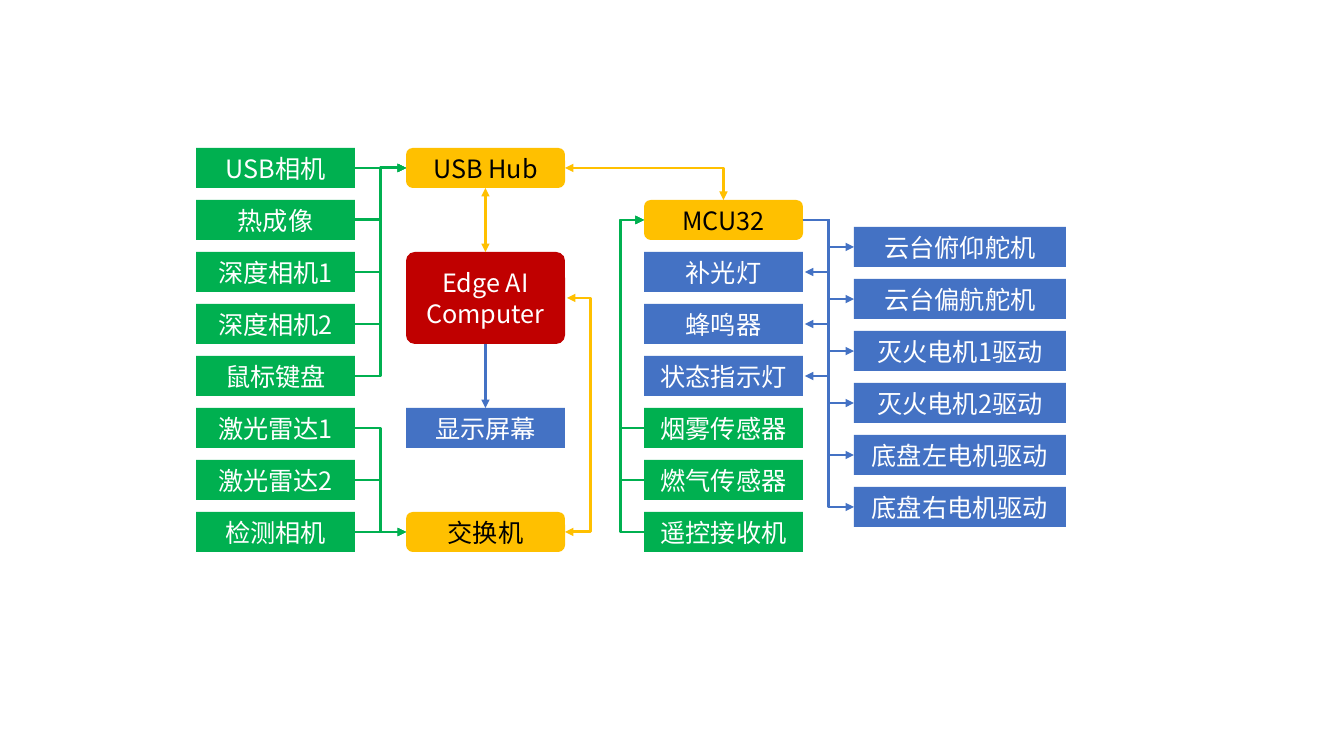
from lxml import etree
from pptx import Presentation
from pptx.dml.color import RGBColor
from pptx.enum.shapes import MSO_CONNECTOR, MSO_SHAPE
from pptx.enum.text import MSO_ANCHOR, PP_ALIGN
from pptx.oxml.ns import qn
from pptx.util import Emu, Pt

RECTANGLE, ROUNDED = MSO_SHAPE.RECTANGLE, MSO_SHAPE.ROUNDED_RECTANGLE
STRAIGHT, ELBOW = MSO_CONNECTOR.STRAIGHT, MSO_CONNECTOR.ELBOW
CENTER, MIDDLE = PP_ALIGN.CENTER, MSO_ANCHOR.MIDDLE
TOP, LEFT, BOTTOM, RIGHT = range(4)

COLORS = {"input": "00B050", "output": "4472C4", "bus": "FFC000",
          "main": "C00000", "light": "FFFFFF", "dark": "000000"}
FONT = "Noto Sans CJK SC"
NODE_WIDTH, NODE_HEIGHT, ROW_PITCH = 159, 40, 52
LOOP_OUT, LOOP_WIDTH = 26, 2


def px(value):
    return Emu(round(value * 12192000 / 1344))


def rgb(name):
    return RGBColor.from_string(COLORS[name])


def add_node(slide, text, role, x, y, width=NODE_WIDTH, height=NODE_HEIGHT):
    kind = ROUNDED if role in ("bus", "main") else RECTANGLE
    shape = slide.shapes.add_shape(kind, px(x), px(y), px(width), px(height))
    shape.shadow.inherit = False
    shape.fill.solid()
    shape.fill.fore_color.rgb = rgb(role)
    shape.line.fill.background()
    frame = shape.text_frame
    frame.word_wrap = True
    frame.vertical_anchor = MIDDLE
    frame.margin_top = frame.margin_bottom = 0
    for index, line in enumerate(text.split("\n")):
        paragraph = frame.add_paragraph() if index else frame.paragraphs[0]
        paragraph.alignment = CENTER
        run = paragraph.add_run()
        run.text = line
        run.font.size = Pt(18)
        run.font.name = FONT
        run.font.color.rgb = rgb("dark" if role == "bus" else "light")
        etree.SubElement(run.font._element, qn("a:ea"), typeface=FONT)
    return shape


def add_column(slide, labels, role, x, y, width=NODE_WIDTH):
    return [add_node(slide, label, role, x, y + row * ROW_PITCH, width)
            for row, label in enumerate(labels)]


def style_link(connector, role, both_ends):
    connector.line.color.rgb = rgb(role)
    connector.line.width = Pt(2)
    line = connector.line._get_or_add_ln()
    if both_ends:
        etree.SubElement(line, qn("a:headEnd"), type="triangle")
    etree.SubElement(line, qn("a:tailEnd"), type="triangle")
    etree.SubElement(connector._element.spPr, qn("a:effectLst"))


def link(slide, begin, begin_side, end, end_side, role, kind=ELBOW, both_ends=False):
    """Join two nodes side to side."""
    connector = slide.shapes.add_connector(kind, 0, 0, 0, 0)
    connector.begin_connect(begin, begin_side)
    connector.end_connect(end, end_side)
    style_link(connector, role, both_ends)
    return connector


def loop(slide, begin, end, side, role, both_ends=False):
    """Join two nodes of one column around their common side."""
    x = begin.left + (begin.width if side == RIGHT else 0)
    inner, outer = (x, x + px(LOOP_WIDTH))
    start, stop = (inner, outer) if side == RIGHT else (outer, inner)
    connector = slide.shapes.add_connector(
        ELBOW, start, begin.top + begin.height // 2, stop, end.top + end.height // 2)
    guides = connector._element.spPr.find(qn("a:prstGeom")).get_or_add_avLst()
    ratio = LOOP_OUT * 100000 // LOOP_WIDTH
    etree.SubElement(guides, qn("a:gd"), name="adj1", fmla=f"val {ratio}")
    style_link(connector, role, both_ends)


def add_sensors(slide, x, y, hub, switch):
    labels = ["USB相机", "热成像", "深度相机1", "深度相机2", "鼠标键盘",
              "激光雷达1", "激光雷达2", "检测相机"]
    for row, sensor in enumerate(add_column(slide, labels, "input", x, y)):
        target = hub if row < 5 else switch
        kind = STRAIGHT if sensor.top == target.top else ELBOW
        link(slide, sensor, RIGHT, target, LEFT, "input", kind)


def add_computer(slide, x, y):
    hub = add_node(slide, "USB Hub", "bus", x, y)
    computer = add_node(slide, "Edge AI\nComputer", "main", x, y + 2 * ROW_PITCH,
                        height=ROW_PITCH + NODE_HEIGHT)
    computer.adjustments[0] = 0.095
    screen = add_node(slide, "显示屏幕", "output", x, y + 5 * ROW_PITCH)
    switch = add_node(slide, "交换机", "bus", x, y + 7 * ROW_PITCH)
    link(slide, hub, BOTTOM, computer, TOP, "bus", STRAIGHT, True)
    link(slide, computer, BOTTOM, screen, TOP, "output", STRAIGHT)
    loop(slide, switch, computer, RIGHT, "bus", True)
    return hub, switch


def add_controller(slide, x, y, hub):
    controller = add_node(slide, "MCU32", "bus", x, y)
    lamps = add_column(slide, ["补光灯", "蜂鸣器", "状态指示灯"], "output",
                       x, y + ROW_PITCH)
    sensors = add_column(slide, ["烟雾传感器", "燃气传感器", "遥控接收机"], "input",
                         x, y + 4 * ROW_PITCH)
    for lamp in lamps:
        loop(slide, controller, lamp, RIGHT, "output")
    for sensor in sensors:
        loop(slide, sensor, controller, LEFT, "input")
    corner = link(slide, hub, RIGHT, controller, TOP, "bus", both_ends=True)
    corner._element.spPr.find(qn("a:prstGeom")).set("prst", "bentConnector2")
    return controller


def add_motors(slide, x, y, controller):
    labels = ["云台俯仰舵机", "云台偏航舵机", "灭火电机1驱动", "灭火电机2驱动",
              "底盘左电机驱动", "底盘右电机驱动"]
    for motor in add_column(slide, labels, "output", x, y, width=212):
        link(slide, controller, RIGHT, motor, LEFT, "output")


def main():
    presentation = Presentation()
    presentation.slide_width, presentation.slide_height = px(1344), px(756)
    slide = presentation.slides.add_slide(presentation.slide_layouts[6])
    hub, switch = add_computer(slide, 406, 148)
    add_sensors(slide, 196, 148, hub, switch)
    controller = add_controller(slide, 644, 200, hub)
    add_motors(slide, 854, 227, controller)
    presentation.save("out.pptx")


if __name__ == "__main__":
    main()
